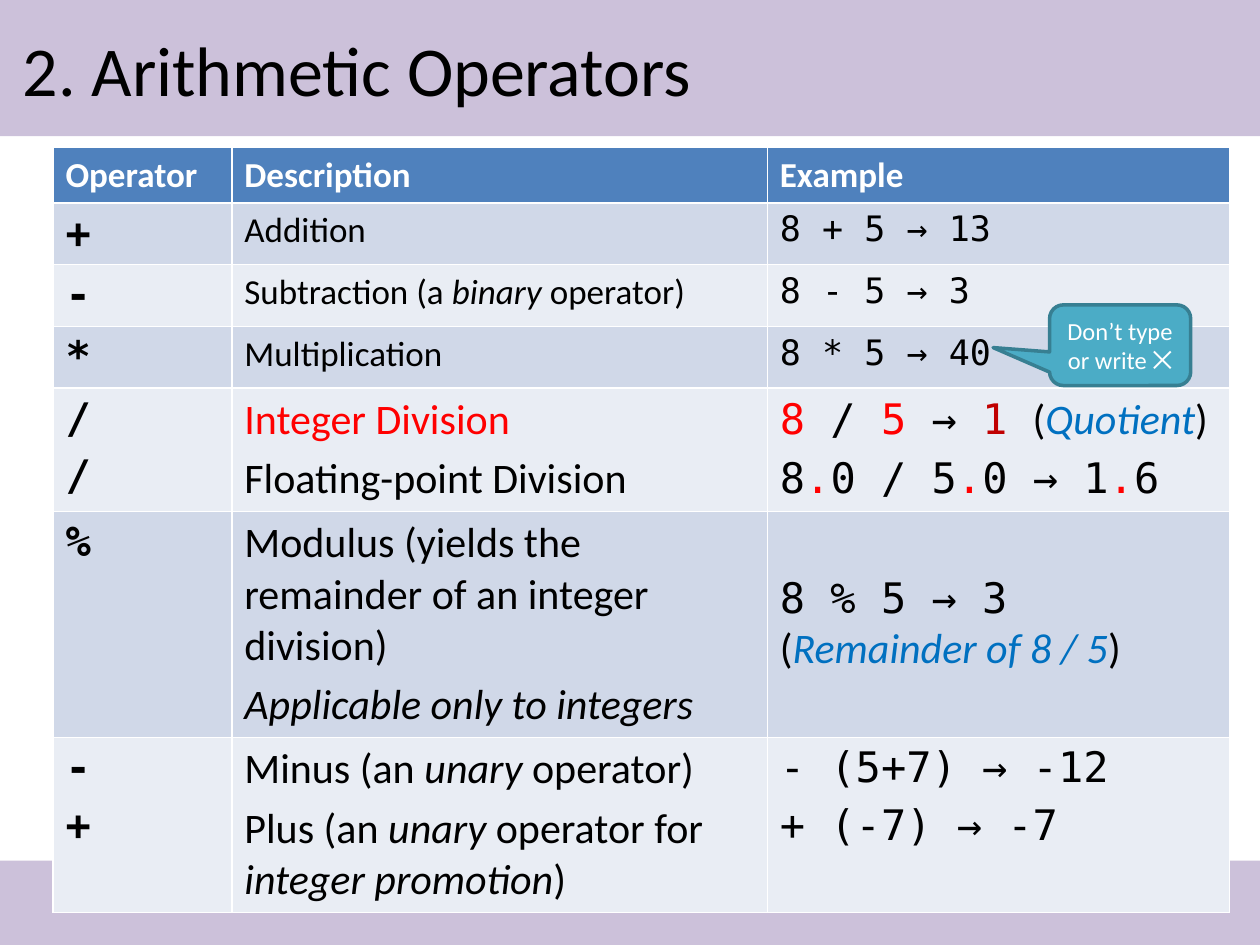
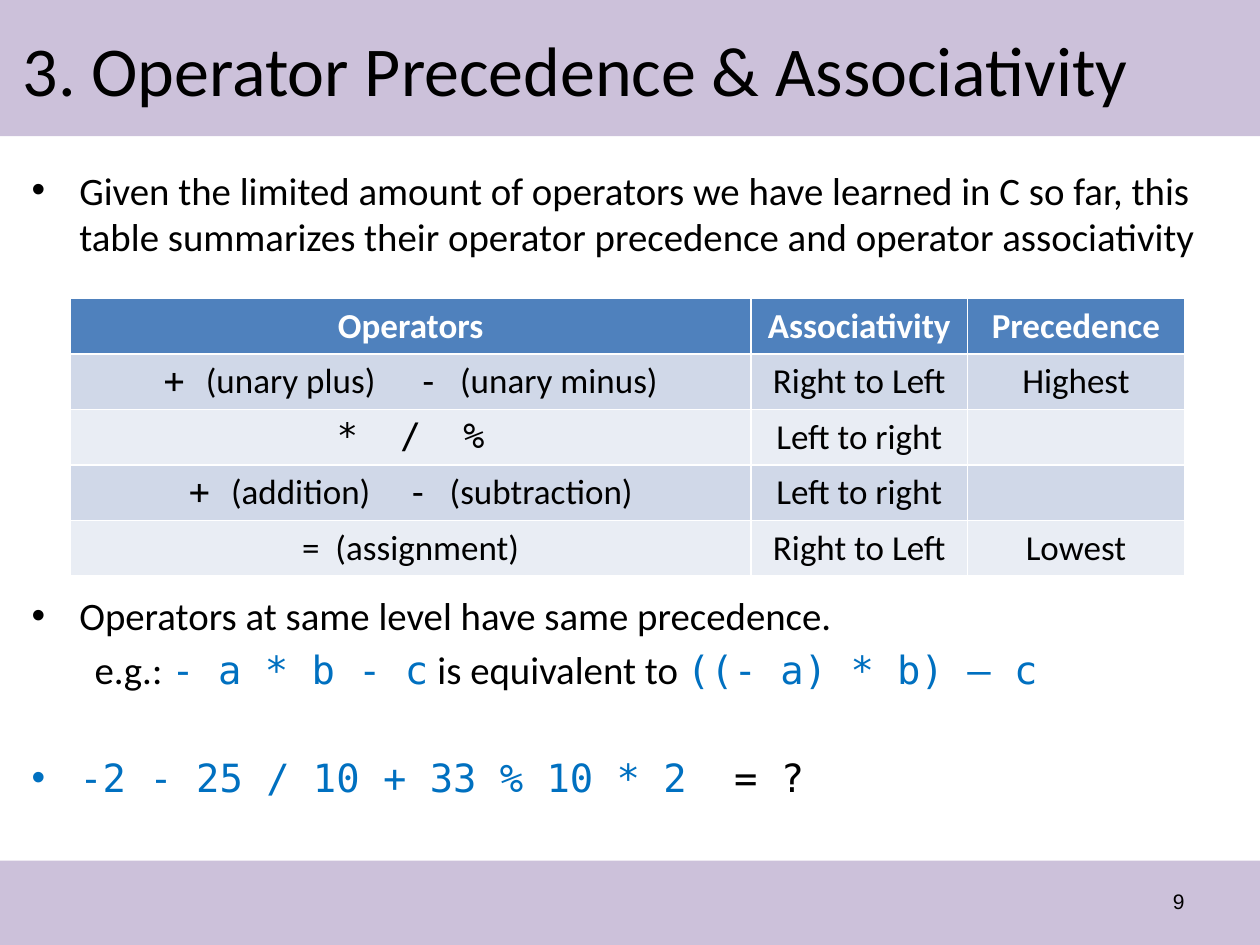
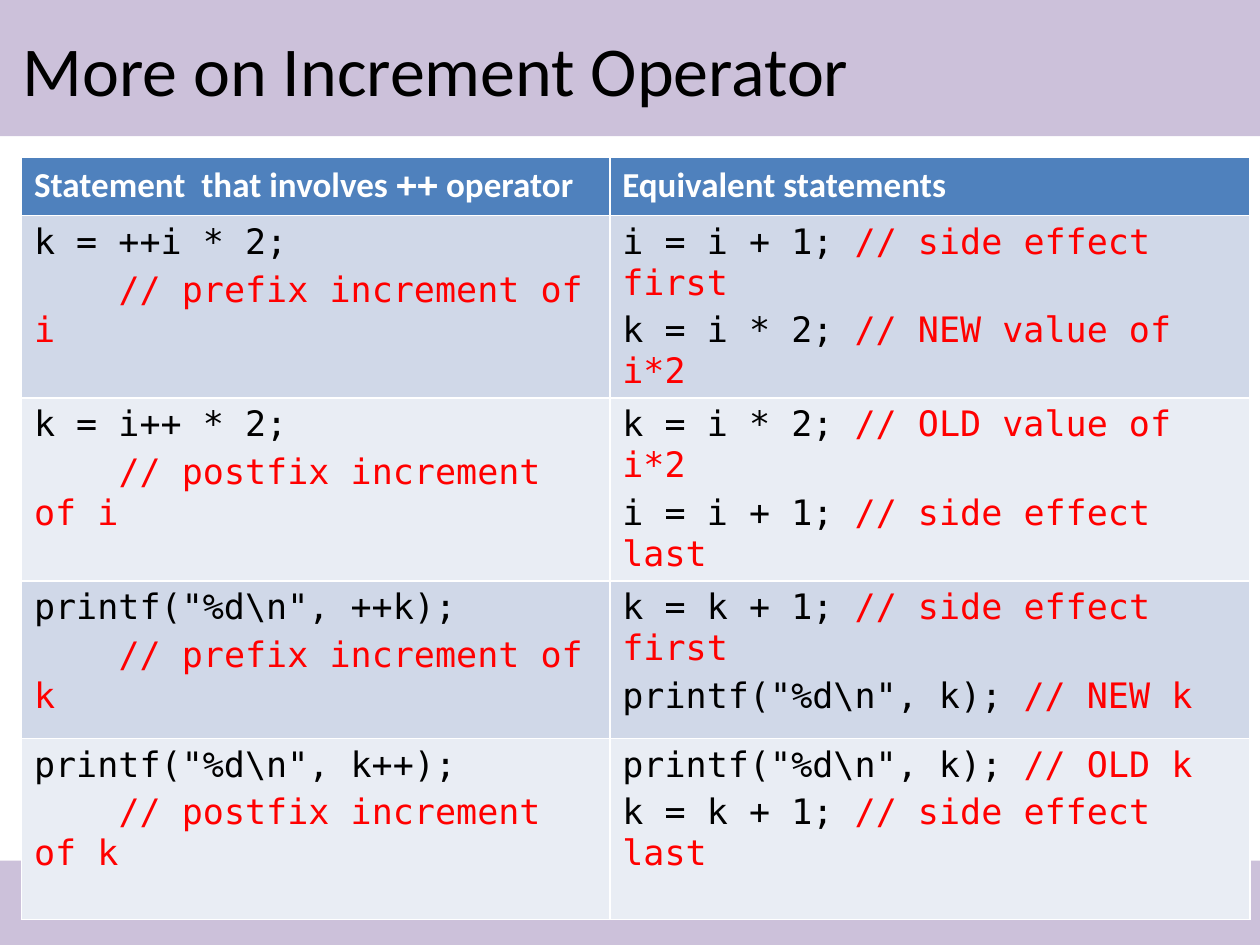
import pptx
import pptx.util
import pptx.dml.color
import pptx.enum.shapes
import pptx.enum.text
import lxml.etree
from pptx.util import Inches, Pt

RGBColor = pptx.dml.color.RGBColor
PP_ALIGN = pptx.enum.text.PP_ALIGN
MIDDLE = pptx.enum.text.MSO_ANCHOR.MIDDLE
MSO_SHAPE = pptx.enum.shapes.MSO_SHAPE

# Colours
BLACK = RGBColor(0x00, 0x00, 0x00)
WHITE = RGBColor(0xFF, 0xFF, 0xFF)
RED = RGBColor(0xFF, 0x00, 0x00)
DARK_RED = RGBColor(0xC0, 0x00, 0x00)
BLUE = RGBColor(0x00, 0x70, 0xC0)
LILAC = RGBColor(0xCC, 0xC1, 0xDA)
HEADER_BLUE = RGBColor(0x4F, 0x81, 0xBD)
ROW_FILLS = RGBColor(0xD0, 0xD8, 0xE8), RGBColor(0xE9, 0xED, 0xF4)
TEAL = RGBColor(0x4B, 0xAC, 0xC6)
DARK_TEAL = RGBColor(0x37, 0x7F, 0x92)

# Text styles
TEXT = dict(name="Calibri", colour=BLACK, bold=False, italic=False)
ITALIC = dict(TEXT, italic=True)
RED_TEXT = dict(TEXT, colour=RED)
BLUE_ITALIC = dict(ITALIC, colour=BLUE)
HEADER = dict(TEXT, colour=WHITE, bold=True)
CODE = dict(TEXT, name="DejaVu Sans Mono")
RED_CODE = dict(CODE, colour=RED)
BLUE_CODE = dict(CODE, colour=BLUE)
BOLD_CODE = dict(CODE, bold=True)
HEADER_CODE = dict(HEADER, name="DejaVu Sans Mono")


def para(text, style=TEXT):
    return [(text, style)]


def commented(code, comment):
    return [(code, CODE), (comment, RED_CODE)]


# Content: a cell is a list of paragraphs, a paragraph is a list of (text, style)
ARITHMETIC_HEADER = [[para(h, HEADER)] for h in ("Operator", "Description", "Example")]
ARITHMETIC_ROWS = [
    [[para("+", BOLD_CODE)], [para("Addition")], [para("8 + 5 → 13", CODE)]],
    [[para("-", BOLD_CODE)],
     [[("Subtraction (a ", TEXT), ("binary", ITALIC), (" operator)", TEXT)]],
     [para("8 - 5 → 3", CODE)]],
    [[para("*", BOLD_CODE)], [para("Multiplication")], [para("8 * 5 → 40", CODE)]],
    [[para("/", BOLD_CODE), para("/", BOLD_CODE)],
     [para("Integer Division", RED_TEXT), para("Floating-point Division")],
     [[("8", RED_CODE), (" / ", CODE), ("5 ", RED_CODE), ("→ ", CODE),
       ("1 ", dict(CODE, colour=DARK_RED)), ("(", TEXT), ("Quotient", BLUE_ITALIC), (")", TEXT)],
      [("8", CODE), (".", RED_CODE), ("0 / 5", CODE), (".", RED_CODE),
       ("0 → 1", CODE), (".", RED_CODE), ("6", CODE)]]],
    [[para("%", BOLD_CODE)],
     [para("Modulus (yields the remainder of an integer division)"),
      para("Applicable only to integers", ITALIC)],
     [[("8 % 5 → 3 ", CODE), ("(", TEXT), ("Remainder of 8 / 5", BLUE_ITALIC), (")", TEXT)]]],
    [[para("-", BOLD_CODE), para("+", BOLD_CODE)],
     [[("Minus (an ", TEXT), ("unary", ITALIC), (" operator)", TEXT)],
      [("Plus (an ", TEXT), ("unary", ITALIC), (" operator for ", TEXT),
       ("integer promotion", ITALIC), (")", TEXT)]],
     [para("- (5+7) → -12", CODE), para("+ (-7) → -7", CODE)]],
]
MODULUS_ROW = 5
LAST_SMALL_ROW = 3

PRECEDENCE_HEADER = [[para(h, HEADER)] for h in ("Operators", "Associativity", "Precedence")]
PRECEDENCE_ROWS = [
    [[operators], [para(associativity)], [para(level)] if level else []]
    for operators, associativity, level in [
        ([("+ ", CODE), ("(unary plus)", TEXT), ("  - ", CODE), ("(unary minus)", TEXT)],
         "Right to Left", "Highest"),
        (para("*  /  %", CODE), "Left to right", ""),
        ([("+ ", CODE), ("(addition)  ", TEXT), (" - ", CODE), ("(subtraction)", TEXT)],
         "Left to right", ""),
        (para("=  (assignment)"), "Right to Left", "Lowest"),
    ]
]
# (runs, bulleted, points before)
PRECEDENCE_NOTES = [
    (para("Given the limited amount of operators we have learned in C so far, this table "
          "summarizes their operator precedence and operator associativity"), True, 0),
    (para("Operators at same level have same precedence."), True, 190),
    ([("e.g.: ", TEXT), ("- a * b - c", BLUE_CODE), (" is equivalent to ", TEXT),
      ("((- a) * b) – c", BLUE_CODE)], False, 4),
    ([("-2 - 25 / 10 + 33 % 10 * 2", BLUE_CODE), ("  = ?", CODE)], True, 35),
]

INCREMENT_HEADER = [
    [[("Statement  that involves ", HEADER), ("++", HEADER_CODE), (" operator", HEADER)]],
    [para("Equivalent statements", HEADER)],
]
INCREMENT_ROWS = [
    [[para(statement, CODE), commented("    ", note)], [commented(*step) for step in steps]]
    for statement, note, steps in [
        ("k = ++i * 2;", "// prefix increment of i",
         [("i = i + 1; ", "// side effect first"), ("k = i * 2;", " // NEW value of i*2")]),
        ("k = i++ * 2;", "// postfix increment of i",
         [("k = i * 2;", " // OLD value of i*2"), ("i = i + 1; ", "// side effect last")]),
        (r'printf("%d\n", ++k);', "// prefix increment of k",
         [("k = k + 1; ", "// side effect first"), (r'printf("%d\n", k); ', "// NEW k")]),
        (r'printf("%d\n", k++);', "// postfix increment of k",
         [(r'printf("%d\n", k); ', "// OLD k"), ("k = k + 1; ", "// side effect last")]),
    ]
]


# Text helpers
def apply_style(font, style):
    for key, value in style.items():
        if key == "colour":
            font.color.rgb = value
        else:
            setattr(font, key, value)


def write_runs(paragraph, runs, size):
    """Put what all runs share on the paragraph, the rest on each run."""
    styles = [style for _, style in runs]
    shared = {key: value for key, value in styles[0].items()
              if all(style[key] == value for style in styles)}
    paragraph.font.size = Pt(size)
    apply_style(paragraph.font, shared)
    for text, style in runs:
        run = paragraph.add_run()
        run.text = text
        apply_style(run.font, {k: v for k, v in style.items() if k not in shared})


def next_paragraph(frame, index):
    return frame.add_paragraph() if index else frame.paragraphs[0]


def set_bullet(paragraph, bulleted):
    props = paragraph._p.get_or_add_pPr()
    margin, indent = (0.38, -0.38) if bulleted else (0.5, 0)
    props.set("marL", str(Inches(margin)))
    props.set("indent", str(Inches(indent)))
    namespace = pptx.oxml.ns.qn("a:buNone").removesuffix("buNone")
    if bulleted:
        lxml.etree.SubElement(props, namespace + "buChar", char="•")
    else:
        lxml.etree.SubElement(props, namespace + "buNone")


# Shape helpers
def place(shape, left, top, width, height):
    shape.left, shape.top = Inches(left), Inches(top)
    shape.width, shape.height = Inches(width), Inches(height)


def add_filled_shape(slide, kind, box, fill):
    shape = slide.shapes.add_shape(kind, *map(Inches, box))
    shape.shadow.inherit = False
    shape.fill.solid()
    shape.fill.fore_color.rgb = fill
    shape.line.fill.background()
    return shape


def add_slide(deck, layout, heading, title_width=9):
    slide = deck.slides.add_slide(deck.slide_layouts[layout])
    title = slide.shapes.title
    place(title, 0.08, 0.08, title_width, 0.92)
    title.text_frame.vertical_anchor = MIDDLE
    title.text_frame.auto_size = pptx.enum.text.MSO_AUTO_SIZE.NONE
    paragraph = title.text_frame.paragraphs[0]
    paragraph.alignment = PP_ALIGN.LEFT
    write_runs(paragraph, para(heading), 40)
    return slide


def add_bands(deck, slide):
    """Draw the two bands and move them to the back of the master."""
    tree = deck.slide_master.element.cSld.spTree
    for index, (top, height) in enumerate([(0, 1.08), (6.83, 0.67)]):
        band = add_filled_shape(slide, MSO_SHAPE.RECTANGLE, (0, top, 10, height), LILAC)
        band.element.nvSpPr.cNvPr.set("id", str(100 + index))
        tree.insert(2 + index, band.element)


def add_grid(slide, left, top, widths, heights, rows,
             size_of=lambda row, column: 20, alignment=PP_ALIGN.LEFT):
    grid = slide.shapes.add_table(len(rows), len(widths), Inches(left), Inches(top),
                                  Inches(sum(widths)), Inches(sum(heights))).table
    for column, width in zip(grid.columns, widths):
        column.width = Inches(width)
    for r, (row, height) in enumerate(zip(rows, heights)):
        grid.rows[r].height = Inches(height)
        for c, paragraphs in enumerate(row):
            cell = grid.cell(r, c)
            cell.fill.solid()
            cell.fill.fore_color.rgb = ROW_FILLS[(r - 1) % 2] if r else HEADER_BLUE
            size = size_of(r, c)
            for i, runs in enumerate(paragraphs):
                paragraph = next_paragraph(cell.text_frame, i)
                paragraph.alignment = alignment
                if i:
                    paragraph.space_before = Pt(0.2 * size)
                write_runs(paragraph, runs, size)
    return grid


# Slides
def build_arithmetic(deck):
    slide = add_slide(deck, 5, "2. Arithmetic Operators")
    add_bands(deck, slide)

    def size_of(row, column):
        small = row == 0 or (row <= LAST_SMALL_ROW and column > 0)
        return 20 if small else 24

    grid = add_grid(slide, 0.42, 1.17, [1.42, 4.25, 3.67],
                    [0.44, 0.49, 0.49, 0.49, 0.98, 1.79, 1.38],
                    [ARITHMETIC_HEADER] + ARITHMETIC_ROWS, size_of)
    grid.cell(MODULUS_ROW, 2).vertical_anchor = MIDDLE

    # Callout beside the multiplication example
    warning = add_filled_shape(slide, MSO_SHAPE.ROUNDED_RECTANGULAR_CALLOUT,
                               (8.33, 2.42, 1.12, 0.64), TEAL)
    for index, value in enumerate((-0.9, 0.03, 0.17)):
        warning.adjustments[index] = value
    warning.line.color.rgb = DARK_TEAL
    warning.line.width = Pt(2)
    warning.text_frame.word_wrap = True
    warning.text_frame.vertical_anchor = MIDDLE
    paragraph = warning.text_frame.paragraphs[0]
    paragraph.alignment = PP_ALIGN.CENTER
    write_runs(paragraph, para("Don’t type or write ⨉", dict(TEXT, colour=WHITE)), 14)


def build_precedence(deck):
    slide = add_slide(deck, 1, "3. Operator Precedence & Associativity", 9.34)
    notes = slide.placeholders[1]
    place(notes, 0.15, 1.27, 9.7, 5.5)
    notes.text_frame.auto_size = pptx.enum.text.MSO_AUTO_SIZE.NONE
    for i, (runs, bulleted, before) in enumerate(PRECEDENCE_NOTES):
        paragraph = next_paragraph(notes.text_frame, i)
        if before:
            paragraph.space_before = Pt(before)
        set_bullet(paragraph, bulleted)
        write_runs(paragraph, runs, 22.2)

    rows = [PRECEDENCE_HEADER] + PRECEDENCE_ROWS
    add_grid(slide, 0.56, 2.37, [5.4, 1.72, 1.72], [0.44] * len(rows), rows,
             alignment=PP_ALIGN.CENTER)

    # Page number
    number = slide.shapes.add_textbox(*map(Inches, (7.17, 6.95, 2.33, 0.4)))
    number.text_frame.word_wrap = True
    number.text_frame.vertical_anchor = MIDDLE
    paragraph = number.text_frame.paragraphs[0]
    paragraph.alignment = PP_ALIGN.RIGHT
    write_runs(paragraph, para("9", dict(TEXT, name="Arial")), 12)


def build_increment(deck):
    slide = add_slide(deck, 5, "More on Increment Operator")
    add_grid(slide, 0.17, 1.25, [4.67, 5.08], [0.46, 1.45, 1.45, 1.25, 1.44],
             [INCREMENT_HEADER] + INCREMENT_ROWS)


def main():
    deck = pptx.Presentation()
    deck.slide_width, deck.slide_height = Inches(10), Inches(7.5)
    build_arithmetic(deck)
    build_precedence(deck)
    build_increment(deck)
    deck.save("out.pptx")


if __name__ == "__main__":
    main()
